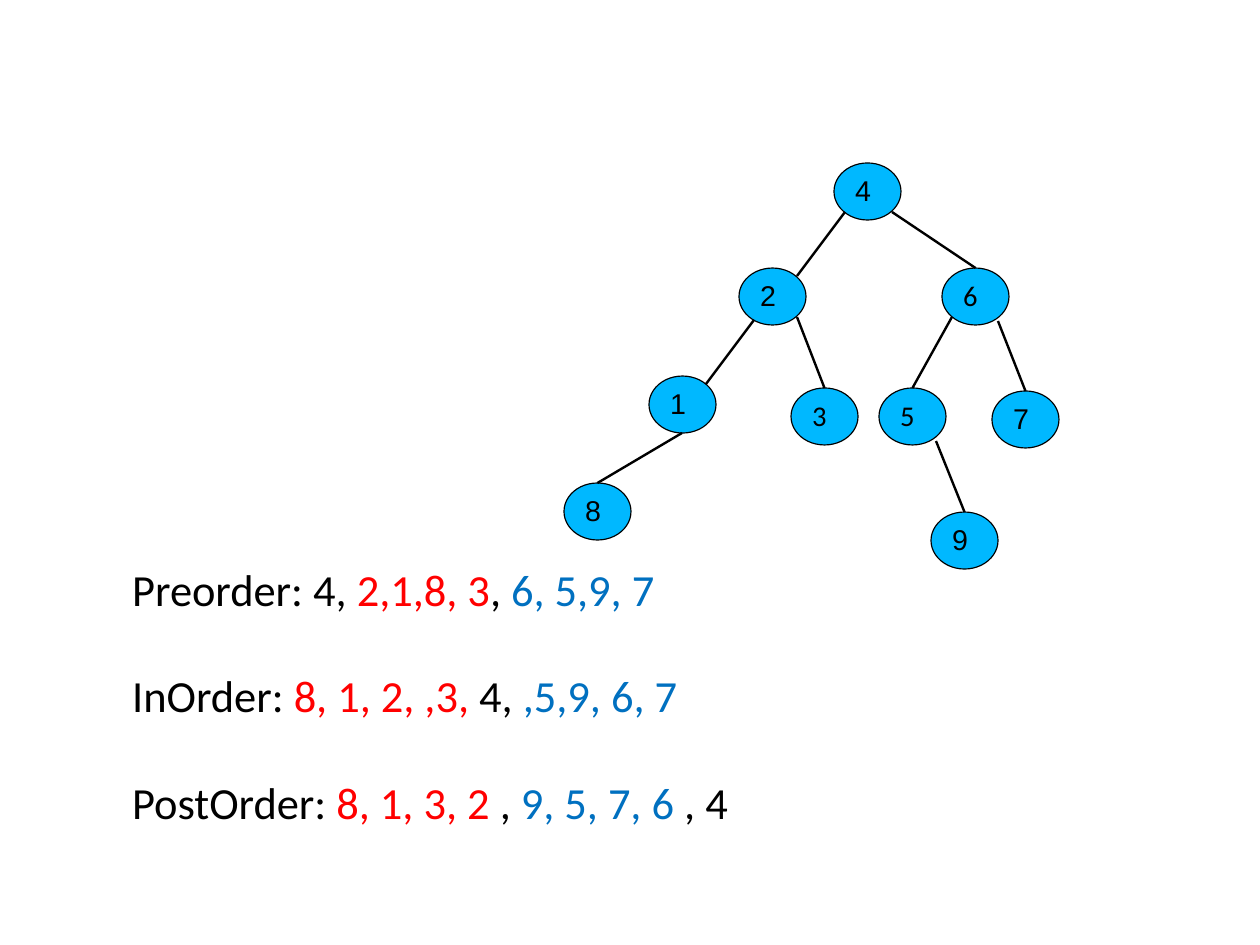
from pptx import Presentation
from pptx import util as u
from pptx.dml import color
from pptx.enum import shapes, text
from pptx.oxml import ns
from lxml import etree

SCALE = 8000
COLORS = {"node": "00B8FF", "root": "000000", "left": "FF0000", "right": "0070C0"}
NODE_WIDTH, NODE_HEIGHT = 67, 57


def px(*lengths):
    return [u.Emu(length * SCALE) for length in lengths]


def rgb(name):
    return color.RGBColor.from_string(COLORS[name])


presentation = Presentation()
presentation.slide_width, presentation.slide_height = px(1260, 945)
slide = presentation.slides.add_slide(presentation.slide_layouts[6])

nodes = {
    "4": (834, 163, "Arial"),
    "2": (739, 268, "Arial"),
    "6": (942, 268, "Calibri"),
    "1": (649, 376, "Arial"),
    "3": (791, 388, "Calibri"),
    "5": (879, 388, "Calibri"),
    "7": (992, 391, "Arial"),
    "9": (931, 512, "Arial"),
    "8": (564, 483, "Arial"),
}
node_shapes = {}
for label, (left, top, font_name) in nodes.items():
    shape = slide.shapes.add_shape(
        shapes.MSO_SHAPE.OVAL, *px(left, top, NODE_WIDTH, NODE_HEIGHT)
    )
    shape.shadow.inherit = False
    shape.fill.solid()
    shape.fill.fore_color.rgb = rgb("node")
    shape.line.color.rgb = rgb("root")
    shape.line.width = u.Pt(0.75)
    shape.text_frame.vertical_anchor = text.MSO_ANCHOR.MIDDLE
    paragraph = shape.text_frame.paragraphs[0]
    paragraph.alignment = text.PP_ALIGN.LEFT
    paragraph.line_spacing = 0.93
    run = paragraph.add_run()
    run.text = label
    for name, value in {"name": font_name, "size": u.Pt(18)}.items():
        setattr(run.font, name, value)
    run.font.color.rgb = rgb("root")
    node_shapes[label] = shape

edges = [
    ((845, 212), (797, 276), None),
    ((892, 212), (975, 268), "6"),
    ((754, 320), (706, 384), None),
    ((797, 317), (824, 388), "3"),
    ((952, 317), (913, 388), "5"),
    ((998, 321), (1025, 391), "7"),
    ((936, 441), (964, 512), "9"),
    ((682, 433), (598, 483), "8"),
]
for start, end, child in edges:
    connector = slide.shapes.add_connector(
        shapes.MSO_CONNECTOR.STRAIGHT, *px(*start, *end)
    )
    if child:
        connector.end_connect(node_shapes[child], 0)
    connector.line.color.rgb = rgb("root")
    connector.line.width = u.Pt(1.5)
    properties = connector._element.find(ns.qn("p:spPr"))
    etree.SubElement(properties, ns.qn("a:effectLst"))

traversals = [
    [("Preorder: 4, ", "root"), ("2,1,8, 3", "left"), (", ", "root"),
     ("6, 5,9, 7", "right")],
    [("InOrder: ", "root"), ("8, 1, 2, ,3,", "left"), (" 4, ", "root"),
     (",5,9, 6, 7", "right")],
    [("PostOrder: ", "root"), ("8, 1, 3, 2 ", "left"), (", ", "root"),
     ("9, 5, 7, 6 ", "right"), (", 4", "root")],
]
traversal_box = slide.shapes.add_textbox(*px(121, 556, 938, 281))
frame = traversal_box.text_frame
frame.word_wrap = True
for index, parts in enumerate(traversals):
    paragraph = frame.add_paragraph() if index else frame.paragraphs[0]
    paragraph.space_before = u.Pt(33.5 if index else 0)
    for words, part_color in parts:
        run = paragraph.add_run()
        run.text = words
        for name, value in {"name": "Calibri", "size": u.Pt(28)}.items():
            setattr(run.font, name, value)
        run.font.color.rgb = rgb(part_color)

presentation.save("out.pptx")
